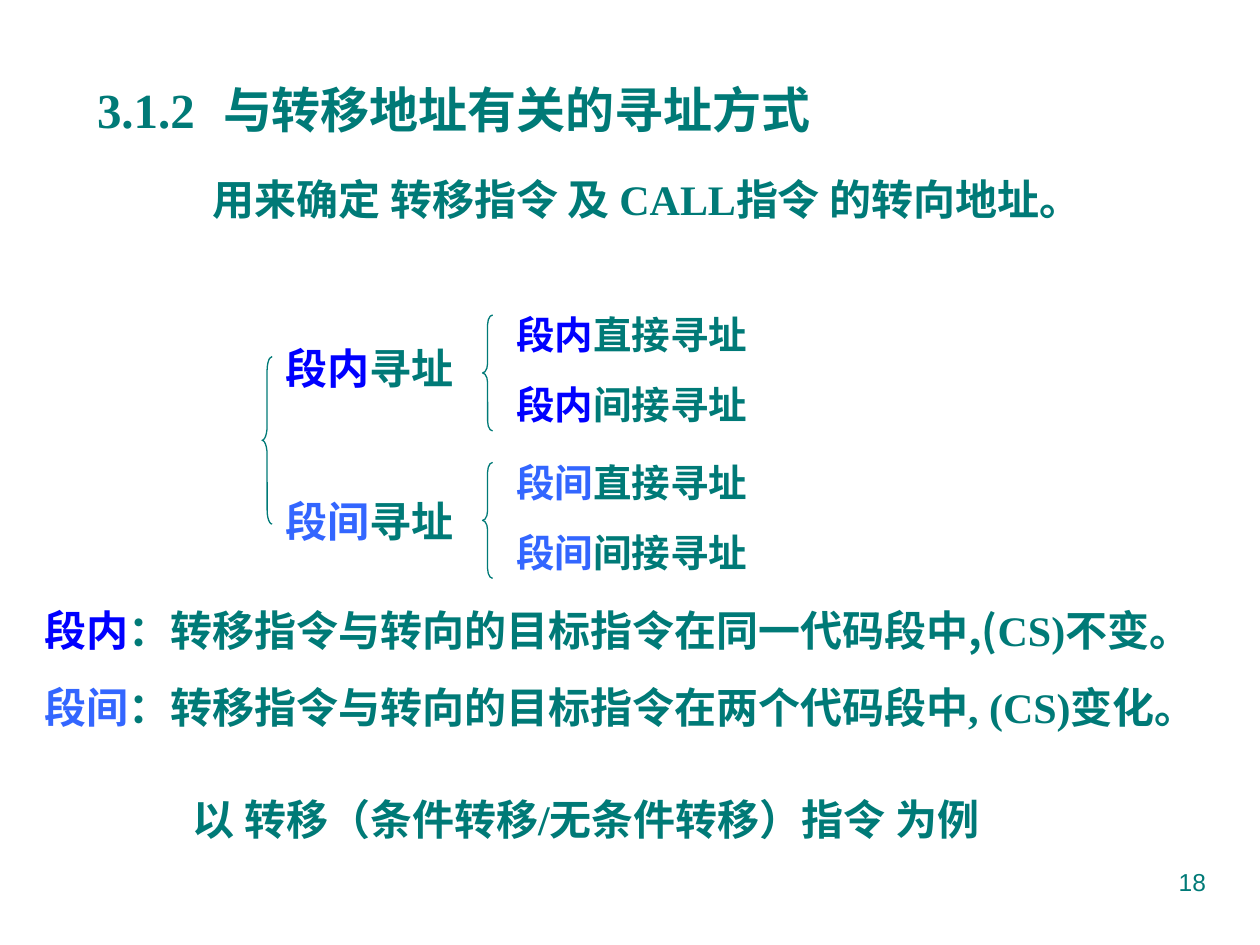
from lxml import etree
from pptx import Presentation
from pptx.dml.color import RGBColor
from pptx.enum.shapes import MSO_SHAPE
from pptx.enum.text import MSO_ANCHOR, MSO_AUTO_SIZE, PP_ALIGN
from pptx.oxml.ns import qn
from pptx.util import Inches, Pt

BRACE = MSO_SHAPE.LEFT_BRACE
TOP = MSO_ANCHOR.TOP
NO_FIT = MSO_AUTO_SIZE.NONE
LEFT, RIGHT = PP_ALIGN.LEFT, PP_ALIGN.RIGHT
TEAL, NEAR, FAR = "007A77", "0000FF", "3366FF"
SERIF, SANS, CJK = "Times New Roman", "Arial", "Noto Sans CJK SC"


def rgb(value):
    """Turn a hex string into a colour."""
    return RGBColor.from_string(value)


class SlideBuilder:
    """Hold the style and the current slide."""

    def __init__(self, prs):
        """Add a slide with a title and a body."""
        self.s = prs.slides.add_slide(prs.slide_layouts[1])
        self.title = self.s.shapes.title
        self.body = self.s.placeholders[1]

    def fill(self, sp, box, paragraphs, size, space=0, bold=True, align=LEFT,
             indent=0, tab=None, wrap=True):
        """Place a shape and write its paragraphs run by run."""
        sp.left, sp.top, sp.width, sp.height = (Inches(v) for v in box)
        tf = sp.text_frame
        tf.word_wrap, tf.auto_size, tf.vertical_anchor = wrap, NO_FIT, TOP
        for i, runs in enumerate(paragraphs):
            p = tf.add_paragraph() if i else tf.paragraphs[0]
            p.alignment = align
            p.space_before = Pt(space if i else 0)
            pPr = p._p.get_or_add_pPr()
            pPr.set("marL", str(Inches(indent)))
            pPr.set("indent", "0")
            etree.SubElement(pPr, qn("a:buNone"))
            if tab:
                tabs = etree.SubElement(pPr, qn("a:tabLst"))
                etree.SubElement(tabs, qn("a:tab"), pos=str(Inches(tab)), algn="l")
            for text, color, *font in runs:
                r = p.add_run()
                r.text = text
                r.font.name = font[0] if font else SERIF
                r.font.size, r.font.bold = Pt(size), bold
                r.font.color.rgb = rgb(color)

    def text(self, box, paragraphs, size, **style):
        """Add a text box."""
        sp = self.s.shapes.add_textbox(*(Inches(v) for v in box))
        self.fill(sp, box, paragraphs, size, **style)

    def brace(self, left, top, height, width=0.08):
        """Add a left brace."""
        sp = self.s.shapes.add_shape(
            BRACE, Inches(left), Inches(top), Inches(width), Inches(height))
        sp.adjustments[0] = height / 12 / width
        sp.shadow.inherit = False
        sp.fill.background()
        sp.line.color.rgb = rgb(TEAL)
        sp.line.width = Pt(0.75)


def main():
    """Build the slide on addressing modes."""
    prs = Presentation()
    prs.slide_width, prs.slide_height = Inches(10), Inches(7.5)
    b = SlideBuilder(prs)

    b.fill(b.title, (0.67, 0.58, 8.33, 0.57),
           [[("3.1.2\t与转移地址有关的寻址方式", TEAL)]], 28, tab=1.07)
    b.text((0.92, 1.33, 8.17, 0.5),
           [[("用来确定 转移指令 及 CALL指令 的转向地址。", TEAL)]], 24, indent=0.67)

    scopes = [("段内", NEAR), ("段间", FAR)]
    b.text((2.17, 2.67, 1.6, 1.72),
           [[scope, ("寻址", TEAL)] for scope in scopes], 24, space=58.5)
    b.brace(2.08, 2.83, 1.33)
    for i, scope in enumerate(scopes):
        top = 2.42 + i * 1.17
        b.text((4, top, 2.75, 1.03),
               [[scope, (mode, TEAL)] for mode in ("直接寻址", "间接寻址")],
               22, space=13.8)
        b.brace(3.83, top + 0.08, 0.92)

    near, far = scopes
    b.fill(b.body, (0.25, 4.75, 9.33, 1.11), [
        [near, ("：转移指令与转向的目标指令在同一代码段中", TEAL),
         (",(", TEAL, CJK), ("CS)", TEAL), ("不变。", TEAL, CJK)],
        [far, ("：转移指令与转向的目标指令在两个代码段中, (CS)变化。", TEAL)],
    ], 24, space=15)
    b.text((1.43, 6.25, 6.6, 0.5),
           [[("以 转移（条件转移/无条件转移）指令 为例", TEAL)]], 24, wrap=False)
    b.text((7.17, 6.83, 2.5, 0.52), [[("18", TEAL, SANS)]], 14,
           bold=False, align=RIGHT)
    prs.save("out.pptx")


if __name__ == "__main__":
    main()
